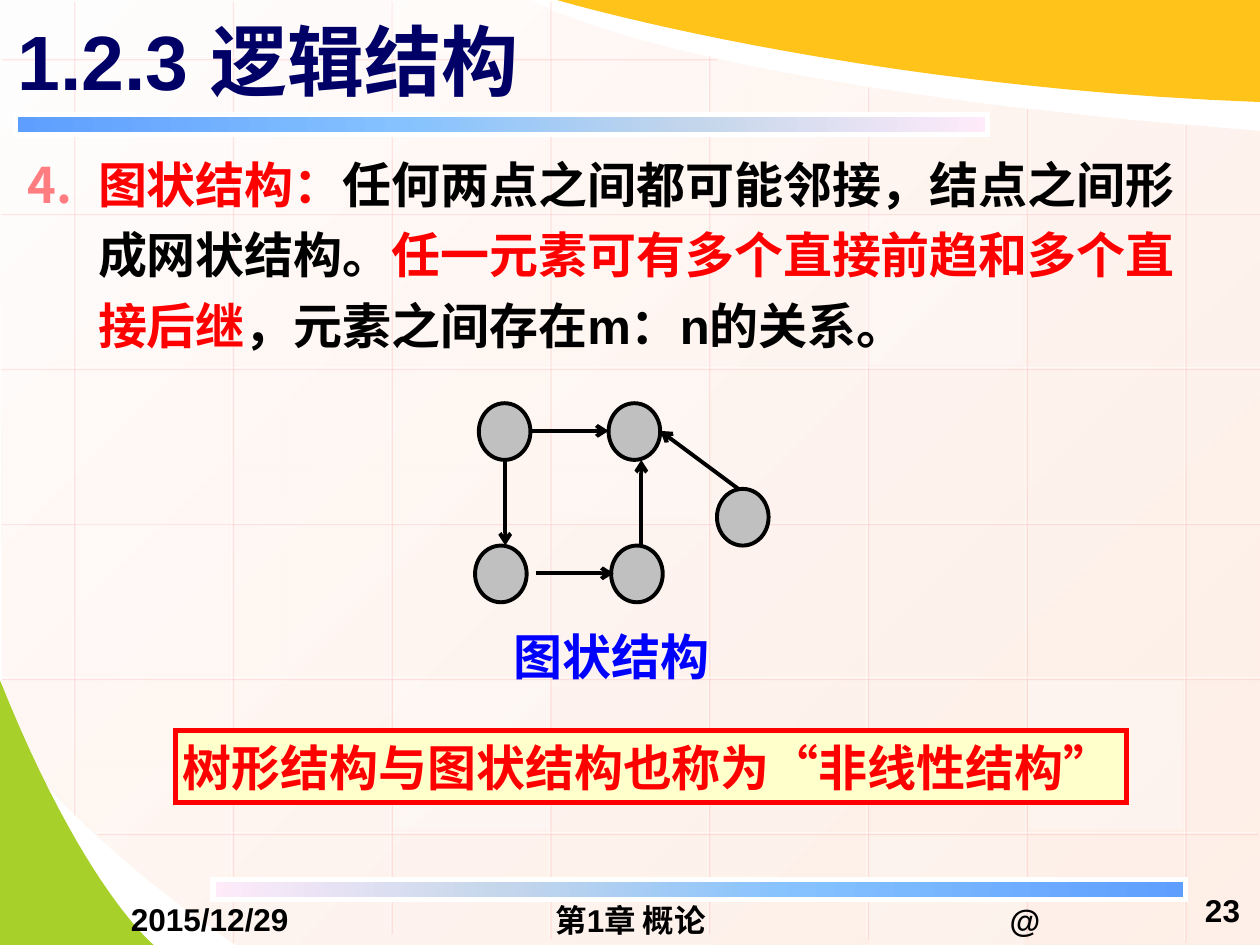
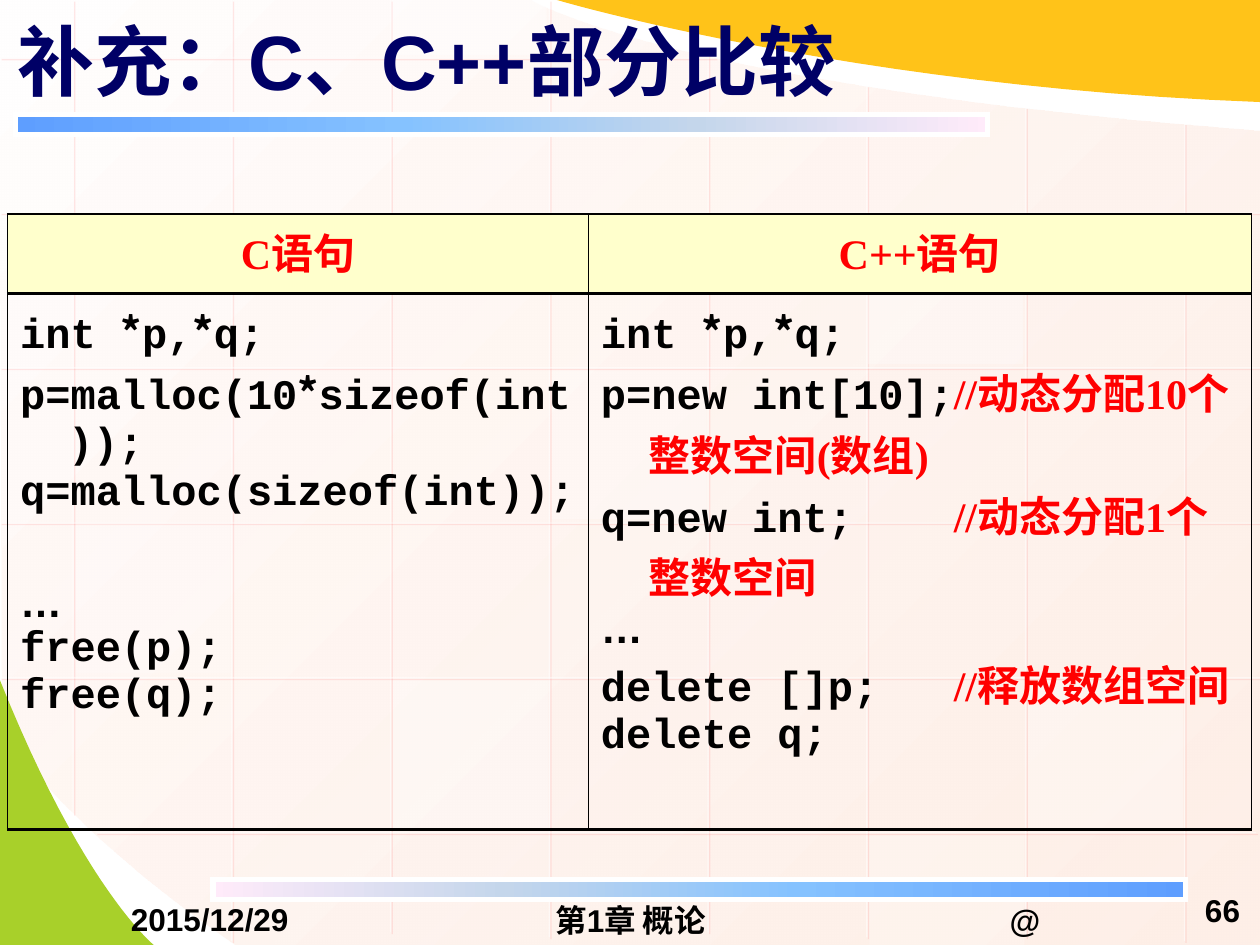
import dataclasses

import pptx
import pptx.dml.color
import pptx.enum.shapes
import pptx.enum.text
import pptx.oxml.ns
import pptx.util
from lxml import etree

Inches = pptx.util.Inches
Pt = pptx.util.Pt
RGB = pptx.dml.color.RGBColor.from_string
qn = pptx.oxml.ns.qn
SHAPE = pptx.enum.shapes.MSO_SHAPE
STRAIGHT = pptx.enum.shapes.MSO_CONNECTOR.STRAIGHT
ALIGN = pptx.enum.text.PP_ALIGN
MIDDLE = pptx.enum.text.MSO_ANCHOR.MIDDLE


@dataclasses.dataclass(frozen=True)
class Theme:
    black: str = "000000"
    white: str = "FFFFFF"
    red: str = "FF0000"
    blue: str = "0000FF"
    navy: str = "000066"
    yellow: str = "FFC319"
    green: str = "A8D02A"
    cream: str = "FFFFCC"
    node: str = "C0C0C0"
    bullet: str = "FF7C80"
    grid_shadow: str = "FF7575"
    wash: tuple = ((0, "FFFEFE", 100), (100, "FEE9DE", 70))
    band: tuple = ((0, "5E9EFF", 100), (40, "85C2FF", 100),
                   (70, "C4D6EB", 100), (100, "FFEBFA", 100))
    sans: str = "Arial"
    serif: str = "Times New Roman"
    mono: str = "Courier New"
    chinese: str = "Noto Sans CJK SC"
    title_size: int = 44
    body_size: int = 28
    table_size: int = 24
    footer_size: int = 18


theme = Theme()


def sub(parent, tag, **attributes):
    """Append a DrawingML element to parent and return it."""
    values = {name: str(value) for name, value in attributes.items()}
    return etree.SubElement(parent, qn(tag), values)


def write(para, pieces, size):
    """Fill a paragraph with bold runs given as (text, font, colour)."""
    for text, font, colour in pieces:
        run = para.add_run()
        run.text = text
        run.font.size = Pt(size)
        run.font.bold = True
        run.font.name = font
        run.font.color.rgb = RGB(colour)
        sub(run.font._element, "a:ea", typeface=theme.chinese)


# Outlines: a start point, then line ends (2 numbers) or Bezier curves (6).
wash_outline = [(10, 1.04), (10, 7.5), (1.87, 7.5),
                (0.55, 6.6, 0.01, 5.8, 0.02, 5.8), (0, 0), (4.21, 0),
                (4.21, 0.01, 5.37, 0.69, 10, 1.04)]
green_outline = [(0, 5.4), (0, 7.5), (1.22, 7.5), (1.22, 7.5, 0.66, 7.05, 0, 5.4)]
yellow_outline = [(10, 0.81), (10, 0), (4.42, 0), (4.42, 0, 6.74, 0.69, 10, 0.81)]
curve_steps = 24

column_spans = [(0, 6.46), (0, 7.47), (0, 7.4), (0, 7.44),
                (0.43, 7.4), (0.68, 7.44), (0.85, 7.44), (0.98, 7.47)]
row_spans = [(0, 5.68), (0, 10), (0, 10), (0, 10), (0, 10), (0.76, 9.97)]
grid_lines = [(0.58 + 1.26 * i, top, 0.58 + 1.26 * i, bottom)
              for i, (top, bottom) in enumerate(column_spans)]
grid_lines += [(right, 0.46 + 1.23 * i, left, 0.46 + 1.23 * i)
               for i, (left, right) in enumerate(row_spans)]

# Left, top, height, opacity in percent
tiles = [(4.38, 2.94, 1.18, 25), (8.16, 5.4, 1.18, 30), (0.6, 4.16, 1.18, 20),
         (6.9, 6.63, 0.87, 20), (3.11, 0, 0.44, 40), (3.12, 5.4, 1.18, 30),
         (6.89, 1.71, 1.18, 30)]
tile_width = 1.23

deck = pptx.Presentation()
deck.slide_width = Inches(10)
deck.slide_height = Inches(7.5)
pages = []

# Shared background, bands, title and footers
for title, number in [("1.2.3 逻辑结构", "23"), ("补充：C、C++部分比较", "66")]:
    page = deck.slides.add_slide(deck.slide_layouts[6])
    pages.append(page)

    areas = []
    for outline in (wash_outline, green_outline, yellow_outline):
        points = [outline[0]]
        for step in outline[1:]:
            if len(step) == 2:
                points.append(step)
                continue
            x0, y0 = points[-1]
            x1, y1, x2, y2, x3, y3 = step
            for i in range(1, curve_steps + 1):
                t = i / curve_steps
                a, b, c, d = (1 - t) ** 3, 3 * t * (1 - t) ** 2, 3 * t * t * (1 - t), t ** 3
                points.append((a * x0 + b * x1 + c * x2 + d * x3,
                               a * y0 + b * y1 + c * y2 + d * y3))
        corners = [(Inches(x), Inches(y)) for x, y in points]
        builder = page.shapes.build_freeform(*corners[0])
        builder.add_line_segments(corners[1:], close=True)
        area = builder.convert_to_shape()
        area.shadow.inherit = False
        area.line.fill.background()
        areas.append(area)
    wash, green, yellow = areas
    for area, colour in ((green, theme.green), (yellow, theme.yellow)):
        area.fill.solid()
        area.fill.fore_color.rgb = RGB(colour)

    for x1, y1, x2, y2 in grid_lines:
        rule = page.shapes.add_connector(STRAIGHT, Inches(x1), Inches(y1), Inches(x2), Inches(y2))
        rule.line.width = Pt(0.75)
        rule.line.color.rgb = RGB(theme.white)
        sub(next(rule._element.iter(qn("a:srgbClr"))), "a:alpha", val=50000)
        effects = sub(rule._element.spPr, "a:effectLst")
        shadow = sub(effects, "a:outerShdw", dist=Pt(1.4), dir=45 * 60000, algn="ctr")
        sub(sub(shadow, "a:srgbClr", val=theme.grid_shadow), "a:alpha", val=33000)

    for left, top, height, opacity in tiles:
        tile = page.shapes.add_shape(SHAPE.RECTANGLE, Inches(left), Inches(top),
                                     Inches(tile_width), Inches(height))
        tile.shadow.inherit = False
        tile.line.fill.background()
        tile.fill.solid()
        tile.fill.fore_color.rgb = RGB(theme.white)
        sub(next(tile._element.iter(qn("a:srgbClr"))), "a:alpha", val=opacity * 1000)

    gradients = [(wash, theme.wash, 315)]
    reversed_band = [(100 - place, colour, opacity)
                     for place, colour, opacity in reversed(theme.band)]
    for left, top, stops in ((0.12, 0.91, theme.band), (1.69, 6.98, reversed_band)):
        band = page.shapes.add_shape(SHAPE.RECTANGLE, Inches(left), Inches(top),
                                     Inches(7.72), Inches(0.16))
        band.shadow.inherit = False
        band.line.color.rgb = RGB(theme.white)
        band.line.width = Pt(3)
        sub(band.line._get_or_add_ln(), "a:miter", lim=800000)
        gradients.append((band, stops, 0))
    for shape, stops, angle in gradients:
        shape.fill.gradient()
        shape.fill.gradient_angle = angle
        stop_list = next(shape._element.iter(qn("a:gsLst")))
        stop_list.clear()
        for place, colour, opacity in stops:
            stop = sub(stop_list, "a:gs", pos=place * 1000)
            sub(sub(stop, "a:srgbClr", val=colour), "a:alpha", val=opacity * 1000)

    for text, at, align, size, colour, inset in [
        (title, (0.04, -0.03, 9, 1.01), ALIGN.LEFT, theme.title_size, theme.navy, 0.05),
        ("2015/12/29", (0.5, 7.14, 2.33, 0.3), ALIGN.CENTER, theme.footer_size, theme.black, 0),
        ("第1章 概论", (3.42, 7.15, 3.17, 0.3), ALIGN.CENTER, theme.footer_size, theme.black, 0),
        ("@", (6.97, 7.15, 2.33, 0.3), ALIGN.CENTER, theme.footer_size, theme.black, 0),
        (number, (9.28, 6.98, 0.66, 0.49), ALIGN.RIGHT, theme.footer_size, theme.black, 0.05),
    ]:
        box = page.shapes.add_textbox(*map(Inches, at))
        frame = box.text_frame
        frame.word_wrap = True
        frame.vertical_anchor = MIDDLE
        frame.margin_top = frame.margin_bottom = Inches(inset)
        frame.paragraphs[0].alignment = align
        write(frame.paragraphs[0], [(text, theme.sans, colour)], size)

graph_page, code_page = pages

# Graph structure: definition
definition = graph_page.shapes.add_textbox(Inches(0.12), Inches(1.07), Inches(9.69), Inches(5.75))
definition.text_frame.word_wrap = True
definition.text_frame.margin_top = Inches(0.06)
definition.text_frame.margin_right = Inches(0.4)
para = definition.text_frame.paragraphs[0]
para.line_spacing = 1.2
properties = para._p.get_or_add_pPr()
properties.set("marL", str(Inches(0.56)))
properties.set("indent", str(Inches(-0.56)))
sub(sub(properties, "a:buClr"), "a:srgbClr", val=theme.bullet)
sub(properties, "a:buAutoNum", type="arabicPeriod", startAt=4)
write(para, [
    ("图状结构：", theme.sans, theme.red),
    ("任何两点之间都可能邻接，结点之间形成网状结构。", theme.sans, theme.black),
    ("任一元素可有多个直接前趋和多个直接后继", theme.sans, theme.red),
    ("，元素之间存在m：n的关系。", theme.sans, theme.black),
], theme.body_size)

# Graph structure: diagram
for left, top in [(3.77, 4.33), (3.8, 3.2), (4.85, 4.33), (4.83, 3.2), (5.69, 3.88)]:
    node = graph_page.shapes.add_shape(SHAPE.OVAL, Inches(left), Inches(top),
                                       Inches(0.41), Inches(0.45))
    node.shadow.inherit = False
    node.fill.solid()
    node.fill.fore_color.rgb = RGB(theme.node)
    node.line.color.rgb = RGB(theme.black)
    node.line.width = Pt(2.25)

for ends in [(4.25, 4.55, 4.87, 4.55), (4.22, 3.42, 4.83, 3.42), (4.01, 3.65, 4.01, 4.33),
             (5.09, 4.33, 5.09, 3.65), (5.86, 3.88, 5.24, 3.42)]:
    edge = graph_page.shapes.add_connector(STRAIGHT, *map(Inches, ends))
    edge.line.color.rgb = RGB(theme.black)
    edge.line.width = Pt(2.25)
    sub(edge.line._get_or_add_ln(), "a:tailEnd", type="arrow")
    sub(edge._element.spPr, "a:effectLst")

caption = graph_page.shapes.add_textbox(Inches(3.98), Inches(4.92), Inches(1.78), Inches(0.57))
caption.text_frame.word_wrap = False
write(caption.text_frame.paragraphs[0], [("图状结构", theme.sans, theme.blue)], theme.body_size)

callout = graph_page.shapes.add_shape(SHAPE.RECTANGLE, Inches(1.39), Inches(5.8),
                                      Inches(7.55), Inches(0.57))
callout.shadow.inherit = False
callout.fill.solid()
callout.fill.fore_color.rgb = RGB(theme.cream)
callout.line.color.rgb = RGB(theme.red)
callout.line.width = Pt(3)
sub(callout.line._get_or_add_ln(), "a:miter", lim=800000)
frame = callout.text_frame
frame.word_wrap = True
frame.margin_left = frame.margin_right = Inches(0.06)
frame.paragraphs[0].alignment = ALIGN.LEFT
write(frame.paragraphs[0], [("树形结构与图状结构也称为“非线性结构”", theme.sans, theme.red)],
      theme.body_size)

# Comparison table: each cell is a list of (code, comment) lines
c_code = [("int *p,*q;", ""), ("p=malloc(10*sizeof(int));", ""), ("q=malloc(sizeof(int));", ""),
          ("…", ""), ("free(p);", ""), ("free(q);", "")]
cpp_code = [("int *p,*q;", ""), ("p=new int[10];", "//动态分配10个整数空间(数组)"),
            ("q=new int;    ", "//动态分配1个整数空间"), ("…", ""),
            ("delete []p;   ", "//释放数组空间"), ("delete q;", "")]
cells = [[[("", "C语句")], [("", "C++语句")]], [c_code, cpp_code]]
row_borders = [(1, 2), (2, 2)]
column_borders = [(0.75, 1), (1, 0.75)]

table = code_page.shapes.add_table(2, 2, Inches(0.06), Inches(1.7),
                                   Inches(9.87), Inches(4.88)).table
table.first_row = table.horz_banding = False
for column, width in zip(table.columns, (4.61, 5.26)):
    column.width = Inches(width)
for row, height in zip(table.rows, (0.63, 4.25)):
    row.height = Inches(height)

for r, row in enumerate(cells):
    for c, lines in enumerate(row):
        cell = table.cell(r, c)
        borders = zip(("a:lnL", "a:lnR", "a:lnT", "a:lnB"), column_borders[c] + row_borders[r])
        for tag, width in borders:
            border = sub(cell._tc.get_or_add_tcPr(), tag, w=Pt(width))
            sub(sub(border, "a:solidFill"), "a:srgbClr", val=theme.black)
        if r == 0:
            cell.fill.solid()
            cell.fill.fore_color.rgb = RGB(theme.cream)
        else:
            cell.fill.background()
        for i, (code, comment) in enumerate(lines):
            para = cell.text_frame.paragraphs[0] if i == 0 else cell.text_frame.add_paragraph()
            para.alignment = ALIGN.CENTER if r == 0 else ALIGN.LEFT
            properties = para._p.get_or_add_pPr()
            properties.set("marL", str(Inches(0.38)))
            properties.set("indent", str(Inches(-0.38)))
            if code == "…" and lines is c_code:
                para.space_before = Pt(35)
            pieces = []
            for k, part in enumerate(code.split("*")):
                if k:
                    pieces.append(("*", theme.chinese, theme.black))
                pieces.append((part, theme.sans if part == "…" else theme.mono, theme.black))
            pieces.append((comment, theme.serif, theme.red))
            write(para, [piece for piece in pieces if piece[0]], theme.table_size)

deck.save("out.pptx")
